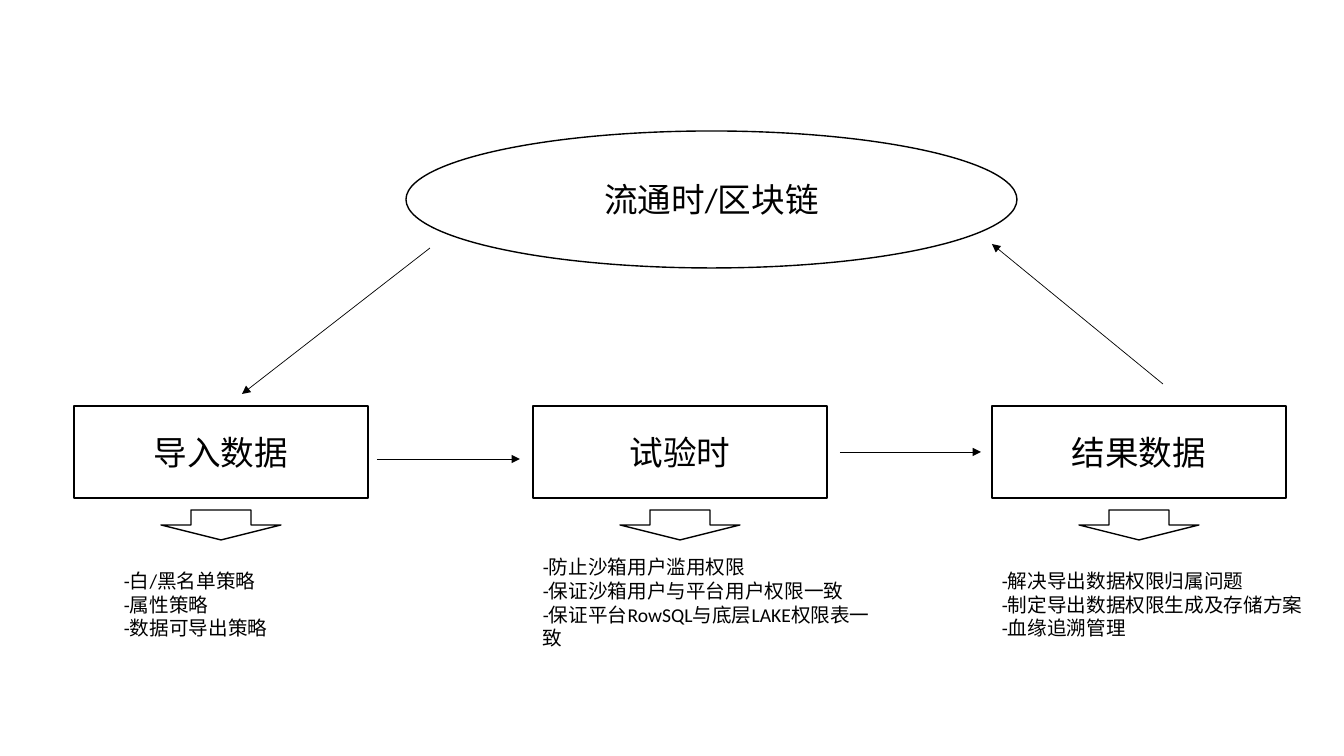
from lxml import etree
from pptx import Presentation, util as u
from pptx.dml.color import RGBColor
from pptx.enum import shapes, text
from pptx.oxml.ns import qn

SCALE = 914400 / 100.8
BLACK, WHITE = "000000", "FFFFFF"


def px(length):
    return u.Emu(round(length * SCALE))


def color(value):
    return RGBColor.from_string(value)


class Painter:
    font = "Calibri"
    title_size, note_size = 24, 14
    outline, thin = 1, 0.5

    def __init__(self, page):
        self.page = page

    def add_lines(self, frame, lines, size, align):
        frame.word_wrap = True
        frame.vertical_anchor = text.MSO_ANCHOR.MIDDLE
        for index, line in enumerate(lines):
            para = frame.add_paragraph() if index else frame.paragraphs[0]
            para.alignment = align
            span = para.add_run()
            span.text = line
            span.font.name = self.font
            span.font.size = u.Pt(size)
            span.font.color.rgb = color(BLACK)

    def shape(self, kind, left, top, width, height, label=None, fill=None):
        box = self.page.shapes.add_shape(kind, px(left), px(top), px(width), px(height))
        box.shadow.inherit = False
        if fill:
            box.fill.solid()
            box.fill.fore_color.rgb = color(fill)
        else:
            box.fill.background()
        box.line.color.rgb = color(BLACK)
        box.line.width = u.Pt(self.outline)
        if label:
            self.add_lines(box.text_frame, [label], self.title_size, text.PP_ALIGN.CENTER)

    def note(self, left, top, width, height, lines):
        box = self.page.shapes.add_textbox(px(left), px(top), px(width), px(height))
        self.add_lines(box.text_frame, lines, self.note_size, text.PP_ALIGN.LEFT)

    def arrow(self, x1, y1, x2, y2):
        link = self.page.shapes.add_connector(
            shapes.MSO_CONNECTOR.STRAIGHT, px(x1), px(y1), px(x2), px(y2))
        link.line.color.rgb = color(BLACK)
        link.line.width = u.Pt(self.thin)
        properties = link._element.spPr
        etree.SubElement(properties.find(qn("a:ln")), qn("a:tailEnd"), type="triangle")
        etree.SubElement(properties, qn("a:effectLst"))


deck = Presentation()
deck.slide_width, deck.slide_height = px(1344), px(756)
painter = Painter(deck.slides.add_slide(deck.slide_layouts[6]))
preset = shapes.MSO_SHAPE

# Circulation stage
painter.shape(preset.OVAL, 406, 131, 611, 137, "流通时/区块链")

# Three stages: title, note left, note top, note width, note lines
stages = [
    ("导入数据", 114, 531, 294, ["-白/黑名单策略", "-属性策略", "-数据可导出策略"]),
    ("试验时", 533, 529, 357, ["-防止沙箱用户滥用权限", "-保证沙箱用户与平台用户权限一致",
                            "-保证平台RowSQL与底层LAKE权限表一致"]),
    ("结果数据", 992, 531, 327, ["-解决导出数据权限归属问题",
                             "-制定导出数据权限生成及存储方案", "-血缘追溯管理"]),
]
FIRST, PITCH, WIDTH, ARROW_WIDTH = 74, 459, 294, 120
for column, (title, note_left, note_top, note_width, lines) in enumerate(stages):
    left = FIRST + column * PITCH
    painter.shape(preset.RECTANGLE, left, 406, WIDTH, 92, title)
    painter.shape(preset.DOWN_ARROW, left + (WIDTH - ARROW_WIDTH) // 2, 510,
                  ARROW_WIDTH, 30, fill=WHITE)
    painter.note(note_left, note_top, note_width, 147, lines)

# Flow between stages
for ends in [(430, 248, 242, 394), (377, 459, 520, 459),
             (840, 452, 981, 452), (1163, 384, 992, 244)]:
    painter.arrow(*ends)

deck.save("out.pptx")
